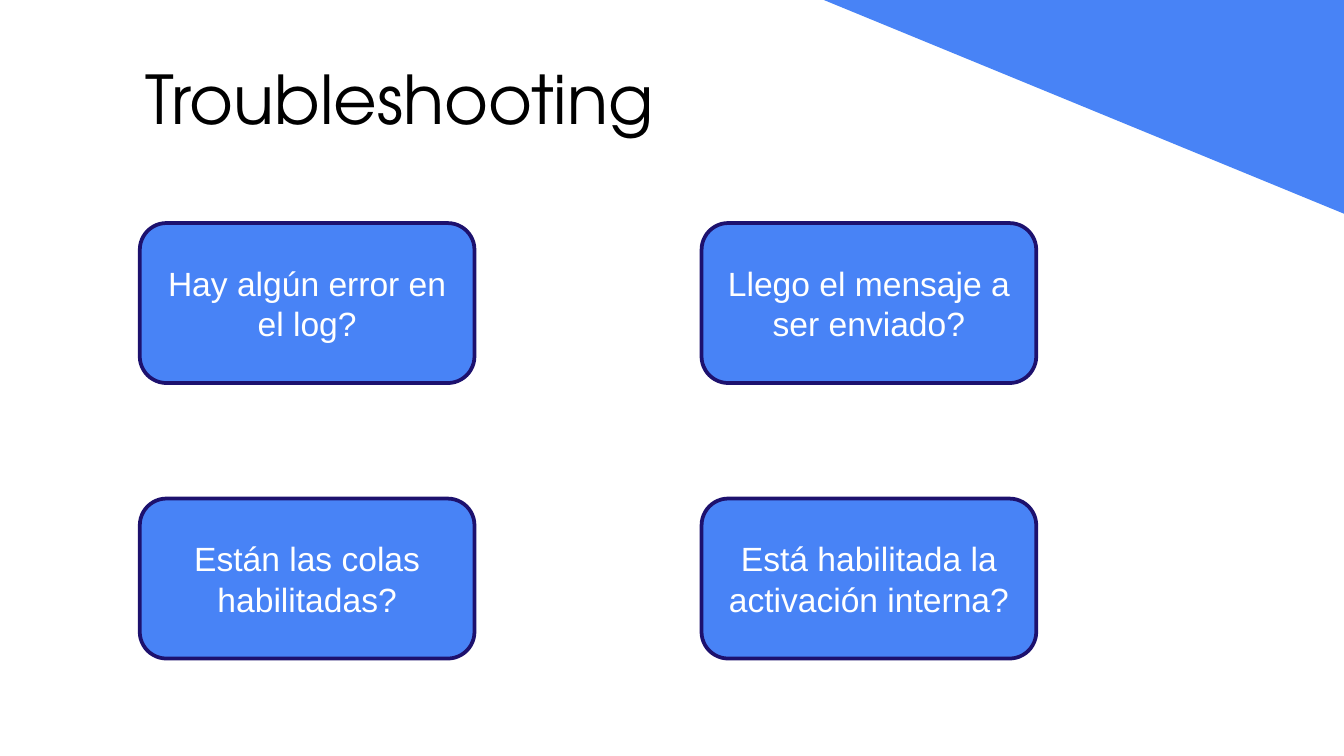
"""Build the Troubleshooting slide with its four questions."""
from pptx import Presentation
from pptx import util as u
from pptx.dml.color import RGBColor
from pptx.enum import shapes, text

COLORS = {"blue": "4883F6", "navy": "1D116E", "white": "FFFFFF", "black": "000000"}
QUESTIONS = [
    ["Hay algún error en el log?", "Llego el mensaje a ser enviado?"],
    ["Están las colas habilitadas?", "Está habilitada la activación interna?"],
]


def add_filled(kind, left, top, width, height):
    sp = s.shapes.add_shape(kind, u.Inches(left), u.Inches(top), u.Inches(width), u.Inches(height))
    sp.shadow.inherit = False
    sp.fill.solid()
    sp.fill.fore_color.rgb = RGBColor.from_string(COLORS["blue"])
    sp.line.fill.background()
    return sp


def add_run(p, words, font, size, color):
    r = p.add_run()
    r.text = words
    r.font.name = font
    r.font.size = u.Pt(size)
    r.font.color.rgb = RGBColor.from_string(COLORS[color])


prs = Presentation()
prs.slide_width = u.Inches(10)
prs.slide_height = u.Inches(10 * 9 / 16)
s = prs.slides.add_slide(prs.slide_layouts[5])

corner = add_filled(shapes.MSO_SHAPE.RIGHT_TRIANGLE, 6.13, 0, 3.87, 1.59)
corner.rotation = 180

for row, questions in enumerate(QUESTIONS):
    for col, question in enumerate(questions):
        sp = add_filled(shapes.MSO_SHAPE.ROUNDED_RECTANGLE,
                        1.04 + 4.18 * col, 1.66 + 2.05 * row, 2.49, 1.19)
        sp.line.fill.solid()
        sp.line.color.rgb = RGBColor.from_string(COLORS["navy"])
        sp.line.width = u.Pt(2)
        tf = sp.text_frame
        tf.word_wrap = True
        tf.vertical_anchor = text.MSO_ANCHOR.MIDDLE
        p = tf.paragraphs[0]
        p.alignment = text.PP_ALIGN.CENTER
        add_run(p, question, "Arial", 18, "white")

title = s.shapes.title
title.left, title.top = u.Inches(0.98), u.Inches(0.33)
title.width, title.height = u.Inches(8.04), u.Inches(1.59)
tf = title.text_frame
tf.word_wrap = True
tf.auto_size = text.MSO_AUTO_SIZE.NONE
tf.vertical_anchor = text.MSO_ANCHOR.TOP
tf.margin_left = tf.margin_right = tf.margin_top = tf.margin_bottom = u.Inches(0.1)
p = tf.paragraphs[0]
p.alignment = text.PP_ALIGN.LEFT
add_run(p, "Troubleshooting", "TeX Gyre Adventor", 36, "black")

prs.save("out.pptx")
